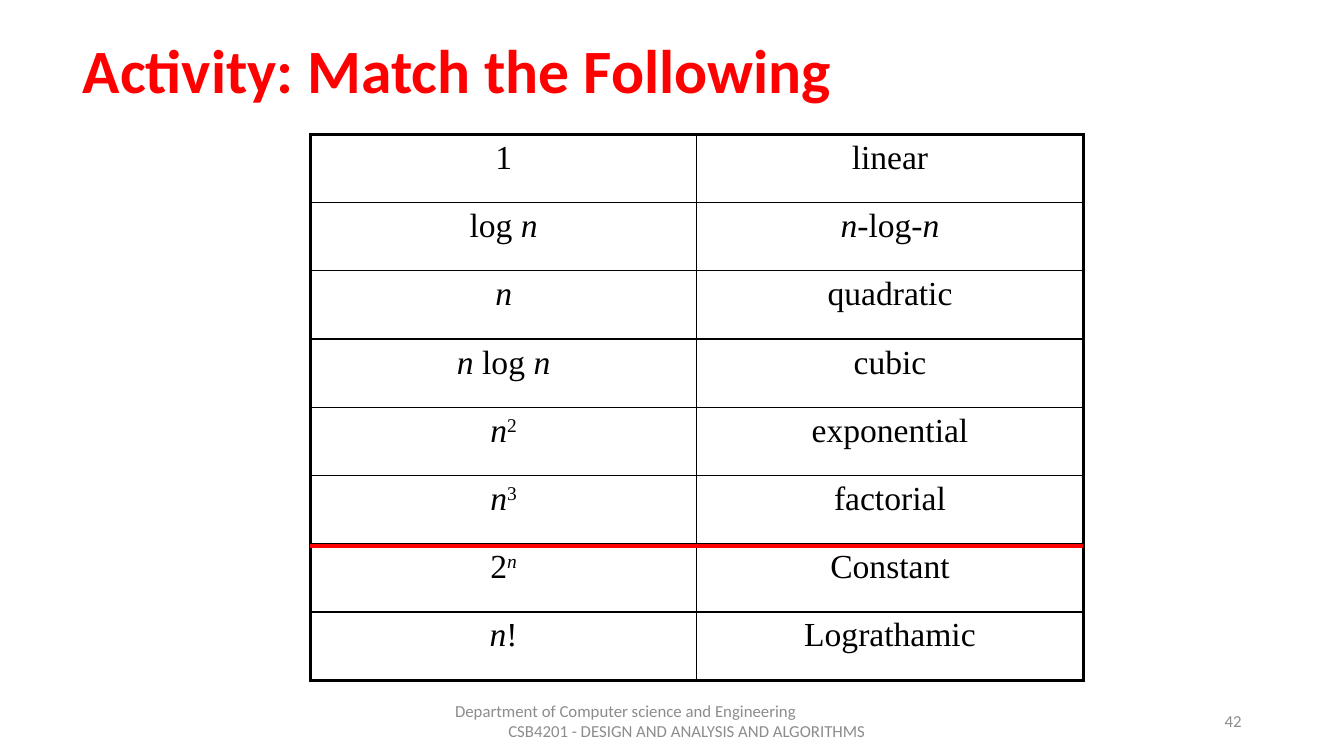
from lxml import etree
from pptx import Presentation
from pptx.dml.color import RGBColor
from pptx.enum.shapes import MSO_CONNECTOR
from pptx.enum.text import MSO_ANCHOR, MSO_AUTO_SIZE, PP_ALIGN
from pptx.oxml.ns import qn
from pptx.util import Pt

LEFT, CENTER, RIGHT = PP_ALIGN.LEFT, PP_ALIGN.CENTER, PP_ALIGN.RIGHT
MIDDLE = MSO_ANCHOR.MIDDLE
STRAIGHT = MSO_CONNECTOR.STRAIGHT

TITLE = "Activity: Match the Following"
# Each cell is a list of (text, style) runs: "i" is italic, "^" is superscript.
ROWS = [
    ([("1", "")], [("linear", "")]),
    ([("log ", ""), ("n", "i")], [("n-", "i"), ("log", ""), ("-n", "i")]),
    ([("n", "i")], [("quadratic", "")]),
    ([("n ", "i"), ("log ", ""), ("n", "i")], [("cubic", "")]),
    ([("n", "i"), ("2", "^")], [("exponential", "")]),
    ([("n", "i"), ("3", "^")], [("factorial", "")]),
    ([("2", ""), ("n", "i^")], [("Constant", "")]),
    ([("n", "i"), ("!", "")], [("Lograthamic", "")]),
]
# Footer lines with their left indents
FOOTER = [
    ("Department of Computer science and Engineering", 0),
    ("CSB4201 - DESIGN AND ANALYSIS AND ALGORITHMS", 38),
]
SLIDE_NUMBER = [("42", 0)]

BLACK, RED, GRAY = "000000", "FF0000", "8C8C8C"
TABLE_LEFT, TABLE_TOP, COLUMN_WIDTH, ROW_HEIGHT = 221.75, 96, 276, 48.75
TABLE_WIDTH = 2 * COLUMN_WIDTH
RED_LINE_Y = 390
OUTER, INNER = 2.25, 1


def color(hex_string):
    return RGBColor.from_string(hex_string)


def format_font(font, name, size, hex_string):
    font.name, font.size = name, Pt(size)
    font.color.rgb = color(hex_string)


def add_border(cell, side, width):
    line = etree.SubElement(cell._tc.get_or_add_tcPr(), qn("a:" + side), w=str(Pt(width)))
    fill = etree.SubElement(line, qn("a:solidFill"))
    etree.SubElement(fill, qn("a:srgbClr"), val=BLACK)


def fill_cell(cell, runs):
    paragraph = cell.text_frame.paragraphs[0]
    paragraph.alignment = CENTER
    format_font(paragraph.font, "Times New Roman", 24, BLACK)
    for text, style in runs:
        run = paragraph.add_run()
        run.text = text
        format_font(run.font, "Times New Roman", 24, BLACK)
        run.font.italic = "i" in style
        if "^" in style:
            run._r.get_or_add_rPr().set("baseline", "30000")


def add_table(slide):
    table = slide.shapes.add_table(
        len(ROWS), 2, Pt(TABLE_LEFT), Pt(TABLE_TOP),
        Pt(TABLE_WIDTH), Pt(len(ROWS) * ROW_HEIGHT)).table
    table.first_row = table.horz_banding = False
    last = len(ROWS) - 1
    for row, contents in enumerate(ROWS):
        table.rows[row].height = Pt(ROW_HEIGHT)
        for column, runs in enumerate(contents):
            cell = table.cell(row, column)
            fill_cell(cell, runs)
            is_outer = {"lnL": column == 0, "lnR": column == 1,
                        "lnT": row == 0, "lnB": row == last}
            for side, outer in is_outer.items():
                add_border(cell, side, OUTER if outer else INNER)
            cell.fill.background()


def add_footer_box(slide, left, width, lines, alignment):
    box = slide.shapes.add_textbox(Pt(left), Pt(500.5), Pt(width), Pt(28.75))
    frame = box.text_frame
    frame.word_wrap = True
    frame.vertical_anchor = MIDDLE
    for index, (text, indent) in enumerate(lines):
        paragraph = frame.add_paragraph() if index else frame.paragraphs[0]
        paragraph.text = text
        paragraph.alignment = alignment
        paragraph._p.get_or_add_pPr().set("marL", str(Pt(indent)))
        format_font(paragraph.font, "Calibri", 12, GRAY)


def main():
    presentation = Presentation()
    presentation.slide_width, presentation.slide_height = Pt(960), Pt(540)
    slide = presentation.slides.add_slide(presentation.slide_layouts[5])

    title = slide.shapes.title
    title.left, title.top, title.width, title.height = Pt(52), Pt(0), Pt(828), Pt(104.5)
    title.text_frame.text = TITLE
    title.text_frame.vertical_anchor = MIDDLE
    title.text_frame.auto_size = MSO_AUTO_SIZE.NONE
    paragraph = title.text_frame.paragraphs[0]
    paragraph.alignment = LEFT
    paragraph.line_spacing = 0.9
    format_font(paragraph.font, "Calibri", 44, RED)
    paragraph.font.bold = True

    add_table(slide)

    red_line = slide.shapes.add_connector(
        STRAIGHT, Pt(TABLE_LEFT), Pt(RED_LINE_Y),
        Pt(TABLE_LEFT + TABLE_WIDTH), Pt(RED_LINE_Y))
    red_line.line.color.rgb = color(RED)
    red_line.line.width = Pt(2.25)
    etree.SubElement(red_line._element.spPr, qn("a:effectLst"))

    add_footer_box(slide, 318, 324, FOOTER, LEFT)
    add_footer_box(slide, 678, 216, SLIDE_NUMBER, RIGHT)
    presentation.save("out.pptx")


if __name__ == "__main__":
    main()
